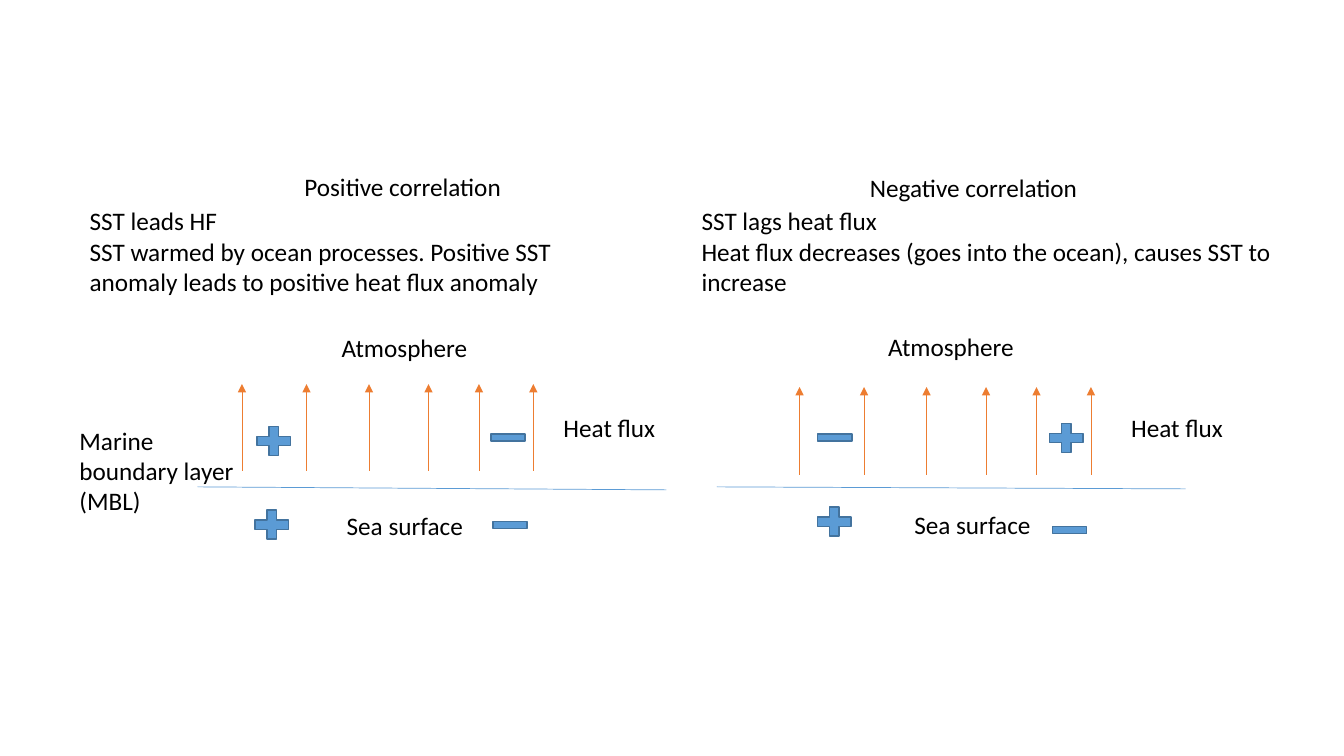
"""Build a slide comparing positive and negative SST and heat flux correlation."""
from dataclasses import dataclass

from lxml import etree
from pptx import Presentation
from pptx.dml.color import RGBColor
from pptx.enum.shapes import MSO_CONNECTOR, MSO_SHAPE
from pptx.enum.text import MSO_AUTO_SIZE
from pptx.oxml.ns import qn
from pptx.util import Inches, Pt

STRAIGHT = MSO_CONNECTOR.STRAIGHT
PLUS = MSO_SHAPE.MATH_PLUS
MINUS = MSO_SHAPE.MATH_MINUS
GROW = MSO_AUTO_SIZE.SHAPE_TO_FIT_TEXT

SIGN_SIZES = {PLUS: (0.45, 0.39), MINUS: (0.46, 0.3)}
ARROW_OFFSETS = (0, 0.64, 1.26, 1.85, 2.35, 2.89)


@dataclass(frozen=True)
class Theme:
    """Colours, font and sizes of the slide."""
    text: RGBColor = RGBColor(0x00, 0x00, 0x00)
    blue: RGBColor = RGBColor(0x5B, 0x9B, 0xD5)
    outline: RGBColor = RGBColor(0x43, 0x73, 0x9E)
    orange: RGBColor = RGBColor(0xED, 0x7D, 0x31)
    font: str = "Calibri"
    size: Pt = Pt(18)
    thin: Pt = Pt(0.5)
    edge: Pt = Pt(1)


THEME = Theme()


@dataclass(frozen=True)
class Panel:
    """Wording and layout of one correlation diagram."""
    heading: str
    heading_box: tuple
    summary: tuple
    summary_box: tuple
    atmosphere: tuple
    heat_flux: tuple
    sea_surface: tuple
    surface_line: tuple
    arrow_left: float
    arrow_top: float
    arrow_bottom: float
    signs: tuple


POSITIVE = Panel(
    heading="Positive correlation",
    heading_box=(2.92, 1.65, 4.61, 0.4),
    summary=("SST leads HF",
             "SST warmed by ocean processes. Positive SST anomaly leads to "
             "positive heat flux anomaly"),
    summary_box=(0.79, 1.99, 5, 1.31),
    atmosphere=(3.29, 3.25),
    heat_flux=(5.49, 4.04),
    sea_surface=(3.34, 5.01),
    surface_line=(1.96, 4.83, 6.61, 4.86),
    arrow_left=2.4, arrow_top=3.81, arrow_bottom=4.67,
    signs=((PLUS, 2.49, 4.18), (MINUS, 4.81, 4.19),
           (PLUS, 2.47, 5.01), (MINUS, 4.83, 5.06)),
)

NEGATIVE = Panel(
    heading="Negative correlation",
    heading_box=(8.53, 1.66, 4.61, 0.4),
    summary=("SST lags heat flux",
             "Heat flux decreases (goes into the ocean), causes SST to increase"),
    summary_box=(6.86, 1.99, 6.1, 1.31),
    atmosphere=(8.71, 3.24),
    heat_flux=(11.12, 4.04),
    sea_surface=(8.97, 5),
    surface_line=(7.11, 4.83, 11.76, 4.85),
    arrow_left=7.93, arrow_top=3.84, arrow_bottom=4.71,
    signs=((MINUS, 8.05, 4.19), (PLUS, 10.35, 4.15),
           (PLUS, 8.05, 4.98), (MINUS, 10.38, 5.11)),
)


def add_text(page, bounds, lines, wrap=True):
    """Add a text box with one paragraph for each line."""
    box = page.shapes.add_textbox(*map(Inches, bounds))
    frame = box.text_frame
    frame.word_wrap = wrap
    frame.auto_size = GROW
    for index, line in enumerate(lines):
        para = frame.add_paragraph() if index else frame.paragraphs[0]
        span = para.add_run()
        span.text = line
        span.font.name = THEME.font
        span.font.size = THEME.size
        span.font.color.rgb = THEME.text


def add_label(page, place, width, label):
    """Add a short label that stays on one line."""
    add_text(page, (*place, width, 0.4), [label], wrap=False)


def add_line(page, ends, color, arrow=False):
    """Add a thin straight line, with an arrowhead at its end if asked."""
    line = page.shapes.add_connector(STRAIGHT, *map(Inches, ends))
    line.line.color.rgb = color
    line.line.width = THEME.thin
    properties = line._element.spPr
    if arrow:
        etree.SubElement(properties.find(qn("a:ln")), qn("a:tailEnd"), type="triangle")
    etree.SubElement(properties, qn("a:effectLst"))


def add_sign(page, kind, left, top):
    """Add a plus or minus sign for an anomaly."""
    sign = page.shapes.add_shape(kind, *map(Inches, (left, top, *SIGN_SIZES[kind])))
    sign.shadow.inherit = False
    sign.fill.solid()
    sign.fill.fore_color.rgb = THEME.blue
    sign.line.color.rgb = THEME.outline
    sign.line.width = THEME.edge


def add_panel(page, panel):
    """Add one diagram with its heading, summary, arrows and signs."""
    add_text(page, panel.heading_box, [panel.heading])
    add_text(page, panel.summary_box, panel.summary)
    add_label(page, panel.atmosphere, 1.46, "Atmosphere")
    add_label(page, panel.heat_flux, 1.12, "Heat flux")
    add_label(page, panel.sea_surface, 1.37, "Sea surface")
    add_line(page, panel.surface_line, THEME.blue)
    for offset in ARROW_OFFSETS:
        left = panel.arrow_left + offset
        add_line(page, (left, panel.arrow_bottom, left, panel.arrow_top),
                 THEME.orange, arrow=True)
    for sign in panel.signs:
        add_sign(page, *sign)


def main():
    """Build and save the deck."""
    deck = Presentation()
    deck.slide_width = Inches(13.33)
    deck.slide_height = Inches(7.5)
    page = deck.slides.add_slide(deck.slide_layouts[6])
    for panel in (POSITIVE, NEGATIVE):
        add_panel(page, panel)
    add_text(page, (0.69, 4.17, 1.73, 1.01), ["Marine boundary layer (MBL)"])
    deck.save("out.pptx")


if __name__ == "__main__":
    main()
